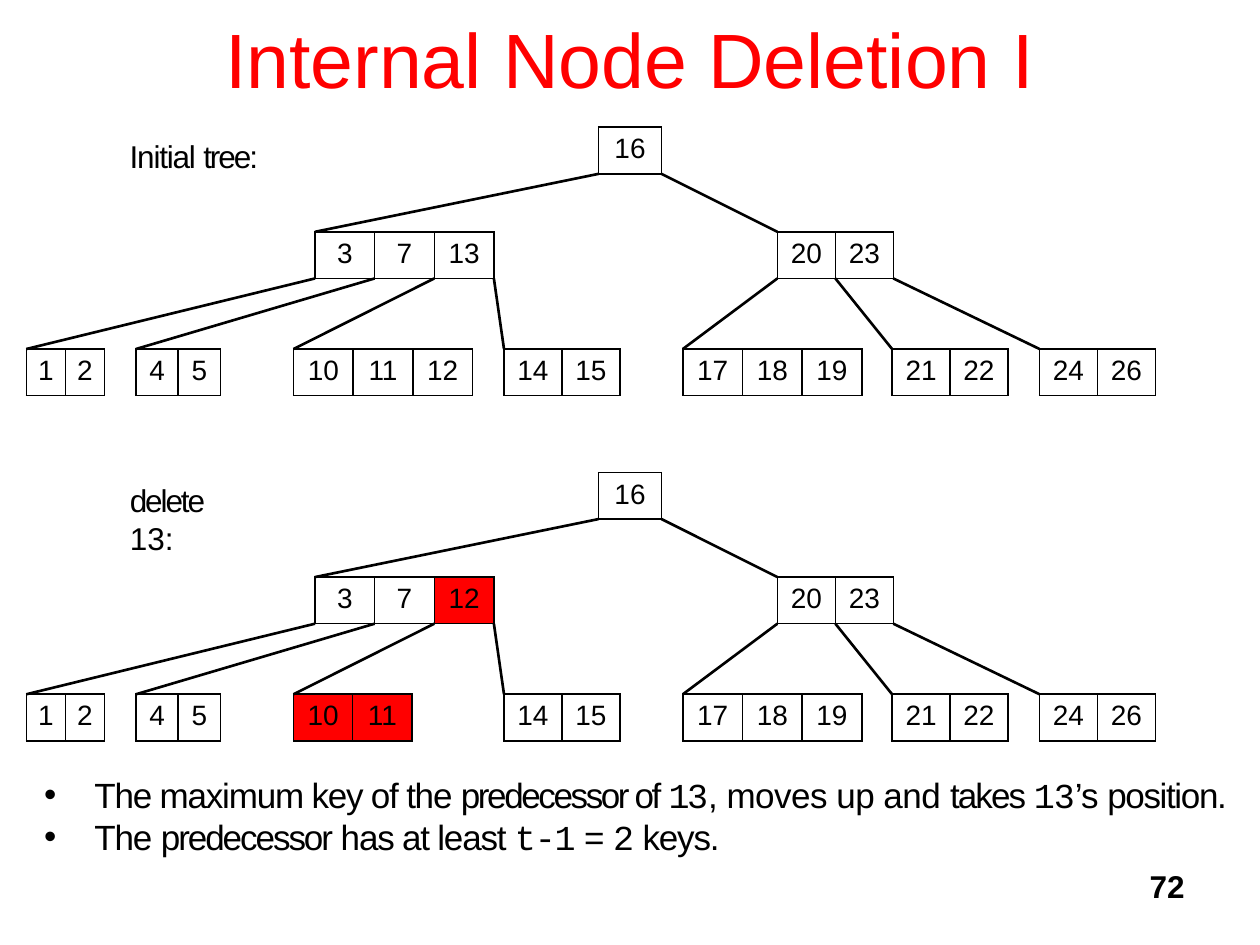
from dataclasses import dataclass

from lxml import etree
from pptx import Presentation
from pptx.dml.color import RGBColor
from pptx.enum.shapes import MSO_CONNECTOR
from pptx.enum.text import MSO_ANCHOR, MSO_AUTO_SIZE, PP_ALIGN
from pptx.oxml import parse_xml
from pptx.oxml.ns import nsdecls, qn
from pptx.util import Inches, Pt

BLACK = RGBColor(0x00, 0x00, 0x00)
WHITE = RGBColor(0xFF, 0xFF, 0xFF)
RED = RGBColor(0xFF, 0x00, 0x00)
SANS, MONO = "Arial", "Courier New"

NODE_HEIGHT = 0.37
LEVEL_TOPS = (0, 0.83, 1.76)


@dataclass
class Node:
    left: float
    width: float
    keys: tuple
    changed: tuple = ()


ROOT = Node(4.54, 0.5, (16,))
RIGHT_INNER = Node(5.96, 0.92, (20, 23))
FIRST_LEAVES = [Node(0, 0.62, (1, 2)), Node(0.87, 0.67, (4, 5))]
LAST_LEAVES = [
    Node(3.79, 0.92, (14, 15)),
    Node(5.21, 1.42, (17, 18, 19)),
    Node(6.87, 0.92, (21, 22)),
    Node(8.04, 0.92, (24, 26)),
]


def tree_levels(left_inner, third_leaf):
    return [[ROOT], [left_inner, RIGHT_INNER],
            FIRST_LEAVES + [third_leaf] + LAST_LEAVES]


INITIAL_TREE = tree_levels(Node(2.29, 1.42, (3, 7, 13)),
                           Node(2.12, 1.42, (10, 11, 12)))
DELETED_TREE = tree_levels(Node(2.29, 1.42, (3, 7, 12), changed=(12,)),
                           Node(2.12, 0.94, (10, 11), changed=(10, 11)))


def style(font, size, color=BLACK, name=SANS, bold=False):
    font.size, font.name, font.bold = Pt(size), name, bold
    font.color.rgb = color


def add_runs(paragraph, size, runs):
    """Each run is (text, letter spacing in points, font name)."""
    for text, tracking, name in runs:
        run = paragraph.add_run()
        run.text = text
        style(run.font, size, name=name)
        run._r.get_or_add_rPr().set("spc", str(round(tracking * 100)))


def add_text_frame(slide, left, top, width, height):
    box = slide.shapes.add_textbox(Inches(left), Inches(top),
                                   Inches(width), Inches(height))
    frame = box.text_frame
    frame.word_wrap = True
    return frame


def add_tight_frame(slide, left, top, width, height):
    frame = add_text_frame(slide, left, top, width, height)
    frame.margin_left = frame.margin_right = frame.margin_bottom = 0
    frame.margin_top = Inches(0.01)
    frame.auto_size = MSO_AUTO_SIZE.SHAPE_TO_FIT_TEXT
    return frame


def border_cell(cell):
    properties = cell._tc.get_or_add_tcPr()
    for position, side in enumerate(("lnL", "lnR", "lnT", "lnB")):
        properties.insert(position, parse_xml(
            f'<a:{side} {nsdecls("a")} w="{Pt(1)}"><a:solidFill>'
            f'<a:srgbClr val="{BLACK}"/></a:solidFill></a:{side}>'))


def draw_node(slide, node, left, top):
    frame = slide.shapes.add_table(
        1, len(node.keys), Inches(left), Inches(top),
        Inches(node.width), Inches(NODE_HEIGHT))
    table = frame.table
    table.first_row = table.horz_banding = False
    for column, key in enumerate(node.keys):
        table.columns[column].width = Inches(node.width / len(node.keys))
        cell = table.cell(0, column)
        cell.margin_left = cell.margin_right = Inches(0.03)
        cell.fill.solid()
        cell.fill.fore_color.rgb = RED if key in node.changed else WHITE
        border_cell(cell)
        paragraph = cell.text_frame.paragraphs[0]
        paragraph.text = str(key)
        paragraph.alignment = PP_ALIGN.CENTER
        style(paragraph.runs[0].font, 16)


def draw_link(slide, x1, y1, x2, y2):
    link = slide.shapes.add_connector(
        MSO_CONNECTOR.STRAIGHT, Inches(x1), Inches(y1), Inches(x2), Inches(y2))
    link.line.color.rgb = BLACK
    link.line.width = Pt(1.5)
    etree.SubElement(link._element.spPr, qn("a:effectLst"))


def draw_tree(slide, levels, left, top):
    for nodes, level_top in zip(levels, LEVEL_TOPS):
        for node in nodes:
            draw_node(slide, node, left + node.left, top + level_top)
    # Child number i hangs from the i-th key boundary of its parent
    for depth, parents in enumerate(levels[:-1]):
        children = iter(levels[depth + 1])
        for parent in parents:
            key_width = parent.width / len(parent.keys)
            for boundary in range(len(parent.keys) + 1):
                child = next(children)
                draw_link(slide,
                          left + parent.left + boundary * key_width,
                          top + LEVEL_TOPS[depth] + NODE_HEIGHT,
                          left + child.left, top + LEVEL_TOPS[depth + 1])


def add_title(slide, left, top, width, height):
    title = slide.shapes.title
    title.left, title.top = Inches(left), Inches(top)
    title.width, title.height = Inches(width), Inches(height)
    frame = title.text_frame
    frame.text = "Internal Node Deletion I"
    frame.vertical_anchor = MSO_ANCHOR.MIDDLE
    frame.paragraphs[0].alignment = PP_ALIGN.CENTER
    style(frame.paragraphs[0].runs[0].font, 44, RED)


def add_label(slide, runs, left, top, width, height):
    frame = add_tight_frame(slide, left, top, width, height)
    add_runs(frame.paragraphs[0], 18, runs)


def add_notes_on_deletion(slide, left, top, width, height):
    points = [
        [("The maximum key of the ", -0.7, SANS), ("predecessor of ", -1.4, SANS),
         ("13", -1.4, MONO), (", moves up and ", -0.3, SANS),
         ("takes ", -1.1, SANS), ("13", -0.6, MONO), ("’s ", -0.6, SANS),
         ("position.", -0.8, SANS)],
        [("The ", -0.7, SANS), ("predecessor ", -1.2, SANS),
         ("has at least ", -0.7, SANS), ("t-1", -0.7, MONO),
         (" = ", -0.7, SANS), ("2", -0.7, MONO), (" keys.", -0.7, SANS)],
    ]
    frame = add_tight_frame(slide, left, top, width, height)
    for index, runs in enumerate(points):
        paragraph = frame.add_paragraph() if index else frame.paragraphs[0]
        properties = paragraph._p.get_or_add_pPr()
        properties.set("marL", str(Inches(0.4)))
        properties.set("indent", str(-Inches(0.4)))
        etree.SubElement(properties, qn("a:buFont"), typeface=SANS)
        etree.SubElement(properties, qn("a:buChar"), char="•")
        paragraph.alignment = PP_ALIGN.JUSTIFY
        add_runs(paragraph, 20, runs)


def add_page_number(slide, left, top, width, height):
    paragraph = add_text_frame(slide, left, top, width, height).paragraphs[0]
    paragraph.text = "72"
    paragraph.alignment = PP_ALIGN.RIGHT
    style(paragraph.runs[0].font, 18, bold=True)


def main():
    deck = Presentation()
    deck.slide_width, deck.slide_height = Inches(10), Inches(7.5)
    slide = deck.slides.add_slide(deck.slide_layouts[5])

    add_title(slide, 0, -0.17, 10, 1.25)
    # Tree before the deletion
    add_label(slide, [("Initial ", -0.7, SANS), ("tree:", -1.2, SANS)],
              1.03, 1.08, 1.07, 0.32)
    draw_tree(slide, INITIAL_TREE, 0.21, 1.01)
    # Tree after the deletion
    add_label(slide, [("delete ", -1.2, SANS), ("13", 0, SANS), (":", -1.2, SANS)],
              1.03, 3.81, 0.98, 0.32)
    draw_tree(slide, DELETED_TREE, 0.21, 3.75)
    # Explanation and page number
    add_notes_on_deletion(slide, 0.35, 6.13, 9.4, 0.69)
    add_page_number(slide, 7.42, 6.83, 2.08, 0.5)

    deck.save("out.pptx")


if __name__ == "__main__":
    main()
